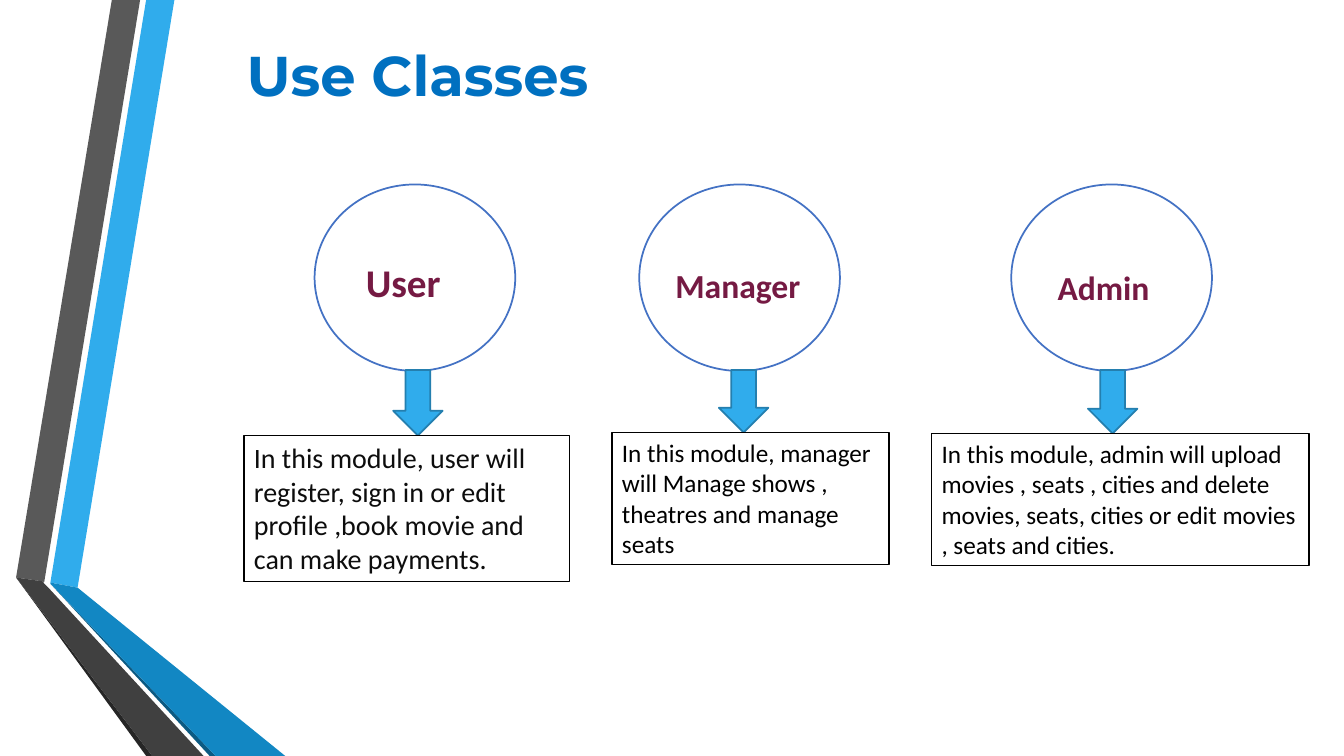
from dataclasses import dataclass

from pptx import Presentation
from pptx.dml.color import RGBColor
from pptx.enum.shapes import MSO_SHAPE
from pptx.enum.text import MSO_ANCHOR, MSO_AUTO_SIZE, PP_ALIGN
from pptx.util import Inches, Pt

OVAL, ARROW, RECTANGLE = MSO_SHAPE.OVAL, MSO_SHAPE.DOWN_ARROW, MSO_SHAPE.RECTANGLE
MIDDLE, TOP = MSO_ANCHOR.MIDDLE, MSO_ANCHOR.TOP
LEFT, CENTER = PP_ALIGN.LEFT, PP_ALIGN.CENTER
FIT_SHAPE, NO_FIT = MSO_AUTO_SIZE.SHAPE_TO_FIT_TEXT, MSO_AUTO_SIZE.NONE
TITLE_ONLY = 5

COLORS = {
    "white": "FFFFFF", "black": "000000", "ink": "0D0D0D",
    "title": "0070C0", "role": "751A43", "circle": "4472C4",
    "sky": "30ACEC", "arrow_edge": "247FAF",
    "blue": "1287C3", "navy": "0C5A82",
    "gray": "595959", "charcoal": "404040", "soot": "262626",
}

Box = tuple[float, float, float, float]
CIRCLE_TOP, CIRCLE_WIDTH, CIRCLE_HEIGHT = 1.83, 1.99, 1.85
ARROW_TOP, ARROW_WIDTH = 3.67, 0.49


@dataclass(frozen=True)
class Ribbon:
    color: str
    points: tuple[tuple[float, float], ...]


@dataclass(frozen=True)
class Role:
    name: str
    name_box: Box
    name_size: int
    circle_left: float
    arrow_left: float
    duty: str
    duty_box: Box
    duty_size: int
    duty_color: str = "black"


RIBBONS = (
    Ribbon("sky", ((0.5, 5.78), (0.77, 5.83), (1.73, 0), (1.45, 0))),
    Ribbon("gray", ((1.39, 0), (1.11, 0), (0.16, 5.73), (0.44, 5.77))),
    Ribbon("soot", ((0.16, 5.73), (1.45, 7.5), (1.51, 7.5))),
    Ribbon("navy", ((0.5, 5.79), (2.08, 7.5), (2.14, 7.5))),
    Ribbon("blue", ((0.5, 5.79), (2.14, 7.5), (2.83, 7.5), (0.77, 5.83), (0.5, 5.78))),
    Ribbon("charcoal", ((2.02, 7.5), (0.48, 5.83), (0.43, 5.78), (0.44, 5.77),
                        (0.16, 5.73), (1.51, 7.5))),
)

ROLES = (
    Role("User", (3.53, 2.51, 1.4, 0.57), 28, 3.12, 3.9,
         "In this module, user will register, sign in or edit profile ,"
         "book movie and can make payments.",
         (2.42, 4.32, 3.23, 1.45), 20, "ink"),
    Role("Manager", (6.6, 2.58, 1.67, 0.5), 24, 6.34, 7.13,
         "In this module, manager will Manage shows , theatres and manage seats",
         (6.07, 4.29, 2.75, 1.31), 18),
    Role("Admin", (10.39, 2.6, 1.58, 0.5), 24, 10.03, 10.79,
         "In this module, admin will upload movies , seats , cities and delete "
         "movies, seats, cities or edit movies , seats and cities.",
         (9.24, 4.3, 3.74, 1.31), 18),
)


def rgb(name: str) -> RGBColor:
    return RGBColor.from_string(COLORS[name])


def write(shape, text: str, *, size: int, color: str, font: str = "Calibri",
          bold: bool = False, align=LEFT, anchor=TOP, fit=FIT_SHAPE) -> None:
    """Put one formatted paragraph into a shape."""
    frame = shape.text_frame
    frame.word_wrap = True
    frame.auto_size = fit
    frame.vertical_anchor = anchor
    para = frame.paragraphs[0]
    para.alignment = align
    span = para.add_run()
    span.text = text
    span.font.name = font
    span.font.size = Pt(size)
    span.font.bold = bold
    span.font.color.rgb = rgb(color)


def add_outlined(page, kind, box: Box, fill: str, line: str):
    shape = page.shapes.add_shape(kind, *map(Inches, box))
    shape.shadow.inherit = False
    shape.fill.solid()
    shape.fill.fore_color.rgb = rgb(fill)
    shape.line.color.rgb = rgb(line)
    shape.line.width = Pt(1.25)
    return shape


def add_ribbon(page, ribbon: Ribbon) -> None:
    start, *rest = [(Inches(x), Inches(y)) for x, y in ribbon.points]
    builder = page.shapes.build_freeform(*start)
    builder.add_line_segments(rest, close=True)
    shape = builder.convert_to_shape()
    shape.shadow.inherit = False
    shape.fill.solid()
    shape.fill.fore_color.rgb = rgb(ribbon.color)
    shape.line.fill.background()


def add_title(page, text: str) -> None:
    title = page.shapes.title
    title.left, title.top, title.width, title.height = map(Inches, (-0.35, 0.15, 8.98, 1.17))
    write(title, text, size=40, color="title", font="Montserrat", bold=True,
          align=CENTER, anchor=MIDDLE, fit=NO_FIT)


def add_role(page, role: Role) -> None:
    # Circle with the role's name
    add_outlined(page, OVAL, (role.circle_left, CIRCLE_TOP, CIRCLE_WIDTH, CIRCLE_HEIGHT),
                 "white", "circle")
    label = page.shapes.add_textbox(*map(Inches, role.name_box))
    write(label, role.name, size=role.name_size, color="role", bold=True)

    # Arrow reaching down to the duty box
    arrow_height = role.duty_box[1] - ARROW_TOP
    add_outlined(page, ARROW, (role.arrow_left, ARROW_TOP, ARROW_WIDTH, arrow_height),
                 "sky", "arrow_edge")

    # Duty box
    duty = add_outlined(page, RECTANGLE, role.duty_box, "white", "black")
    write(duty, role.duty, size=role.duty_size, color=role.duty_color)


def main() -> None:
    deck = Presentation()
    deck.slide_width, deck.slide_height = Inches(13.33), Inches(7.5)
    page = deck.slides.add_slide(deck.slide_layouts[TITLE_ONLY])
    for ribbon in RIBBONS:
        add_ribbon(page, ribbon)
    add_title(page, "Use Classes")
    for role in ROLES:
        add_role(page, role)
    deck.save("out.pptx")


if __name__ == "__main__":
    main()
